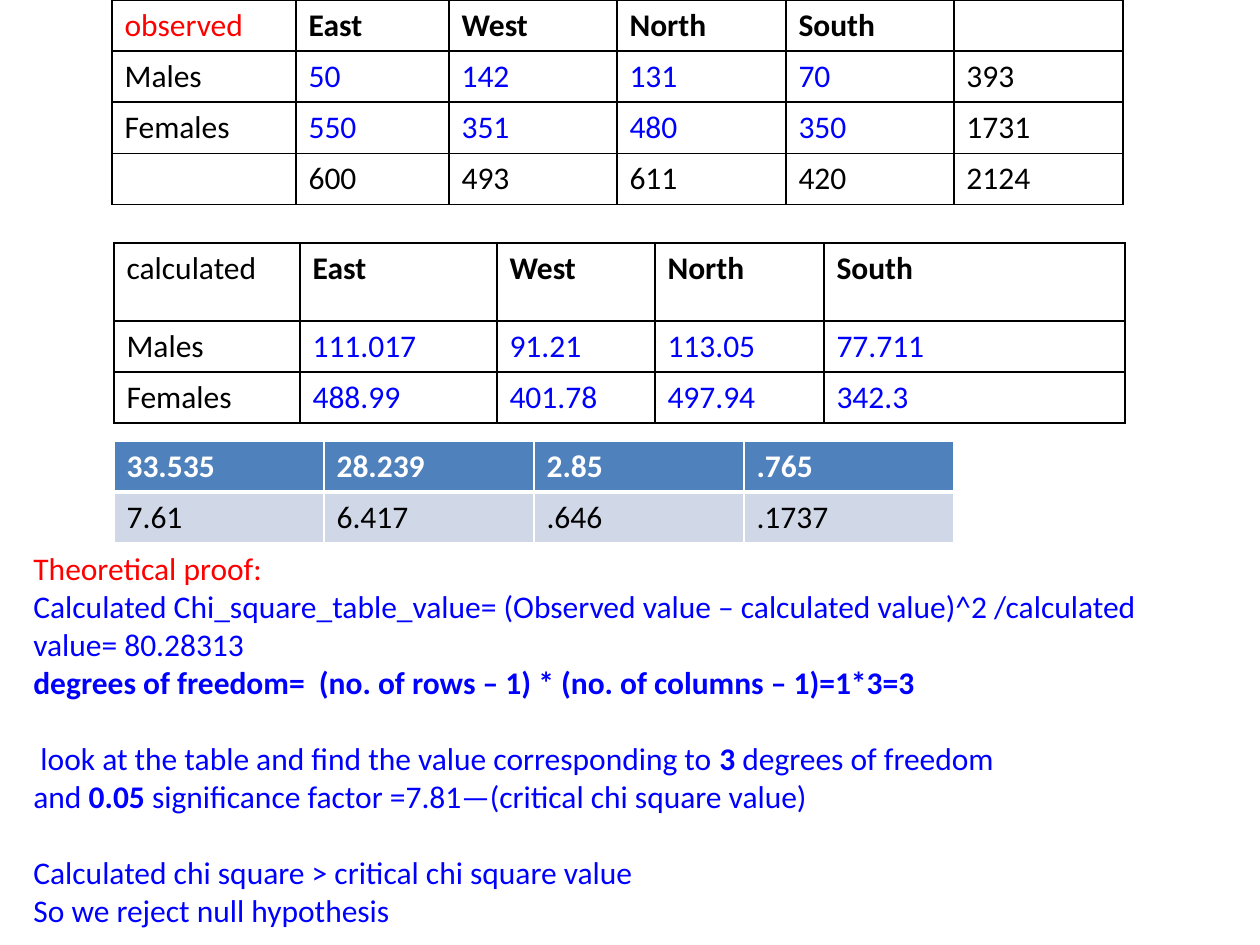
from dataclasses import dataclass

from lxml import etree
from pptx import Presentation
from pptx.dml.color import RGBColor
from pptx.enum.text import MSO_AUTO_SIZE
from pptx.oxml.ns import qn
from pptx.util import Pt

NO_AUTOFIT = MSO_AUTO_SIZE.NONE
PIXEL = 914400 // 126
BLANK_LAYOUT = 6


@dataclass(frozen=True)
class Theme:
    font: str = "Calibri"
    size: int = 18
    line_gap: int = 22
    black: str = "000000"
    white: str = "FFFFFF"
    red: str = "FF0000"
    blue: str = "0000FF"
    header_fill: str = "4F81BD"
    band_fill: str = "D0D8E8"


THEME = Theme()


def px(length):
    return length * PIXEL


def style_font(font, color, bold=False):
    font.name = THEME.font
    font.size = Pt(THEME.size)
    font.bold = bold
    font.color.rgb = RGBColor.from_string(color)


def set_borders(cell, color, bottom_width=1):
    """Draw the four cell edges; they must precede the fill in the XML."""
    properties = cell._tc.get_or_add_tcPr()
    widths = {"lnL": 1, "lnR": 1, "lnT": 1, "lnB": bottom_width}
    for position, (edge, width) in enumerate(widths.items()):
        line = etree.Element(qn(f"a:{edge}"), w=str(Pt(width)))
        fill = etree.SubElement(line, qn("a:solidFill"))
        etree.SubElement(fill, qn("a:srgbClr"), val=color)
        properties.insert(position, line)


def add_grid(page, left, top, columns, heights, rows, style_cell):
    """Place a table and let style_cell(cell, row, column) format each cell."""
    frame = page.shapes.add_table(len(rows), len(columns), px(left), px(top),
                                  px(sum(columns)), px(sum(heights)))
    table = frame.table
    for column, width in zip(table.columns, columns):
        column.width = px(width)
    for row, height in zip(table.rows, heights):
        row.height = px(height)
    for r, values in enumerate(rows):
        for c, value in enumerate(values):
            cell = table.cell(r, c)
            cell.text = value
            style_cell(cell, r, c)


def style_counts(cell, row, column):
    """Plain grid: bold region names, blue figures, black labels and totals."""
    is_figure = row in (1, 2) and 1 <= column <= 4
    color = THEME.blue if is_figure else THEME.black
    if cell.text == "observed":
        color = THEME.red
    style_font(cell.text_frame.paragraphs[0].font, color, row == 0 and column > 0)
    cell.fill.background()
    set_borders(cell, THEME.black)


def style_terms(cell, row, column):
    """Filled grid: white bold figures on blue above a pale band."""
    is_header = row == 0
    style_font(cell.text_frame.paragraphs[0].font,
               THEME.white if is_header else THEME.black, is_header)
    cell.fill.solid()
    cell.fill.fore_color.rgb = RGBColor.from_string(
        THEME.header_fill if is_header else THEME.band_fill)
    set_borders(cell, THEME.white, 3 if is_header else 1)


def add_proof(page, left, top, width, height, lines):
    """Each line is (colour, gap before in points, [(text, bold), ...])."""
    box = page.shapes.add_textbox(px(left), px(top), px(width), px(height))
    frame = box.text_frame
    frame.word_wrap = True
    frame.auto_size = NO_AUTOFIT
    for index, (color, gap, spans) in enumerate(lines):
        para = frame.add_paragraph() if index else frame.paragraphs[0]
        para.space_before = Pt(gap)
        style_font(para.font, color)
        for text, bold in spans:
            span = para.add_run()
            span.text = text
            style_font(span.font, color, bold)


REGIONS = ["East", "West", "North", "South"]
OBSERVED = [
    ["observed", *REGIONS, ""],
    ["Males", "50", "142", "131", "70", "393"],
    ["Females", "550", "351", "480", "350", "1731"],
    ["", "600", "493", "611", "420", "2124"],
]
CALCULATED = [
    ["calculated", *REGIONS],
    ["Males", "111.017", "91.21", "113.05", "77.711"],
    ["Females", "488.99", "401.78", "497.94", "342.3"],
]
TERMS = [
    ["33.535", "28.239", "2.85", ".765"],
    ["7.61", "6.417", ".646", ".1737"],
]
PROOF = [
    (THEME.red, 0, [("Theoretical proof:", False)]),
    (THEME.blue, 0, [("Calculated Chi_square_table_value= (Observed value – "
                      "calculated value)^2 /calculated value= 80.28313 ", False)]),
    (THEME.blue, 0, [("degrees of freedom= \u00a0(no. of rows – 1) * "
                      "(no. of columns – 1)=1*3=3", True)]),
    (THEME.blue, THEME.line_gap, [
        ("\u00a0look at the table and find the value corresponding to\u00a0", False),
        ("3\u00a0", True),
        ("degrees of freedom and\u00a0", False),
        ("0.05", True),
        ("\u00a0significance factor =7.81—(critical chi square value)", False)]),
    (THEME.blue, THEME.line_gap,
     [("Calculated chi square > critical chi square value", False)]),
    (THEME.blue, 0, [("So we reject null hypothesis", False)]),
]

deck = Presentation()
deck.slide_width, deck.slide_height = px(1260), px(945)
page = deck.slides.add_slide(deck.slide_layouts[BLANK_LAYOUT])

# Observed and calculated counts
add_grid(page, 112, 0, [184, 153, 168, 169, 168, 169], [51] * 4, OBSERVED, style_counts)
add_grid(page, 114, 243, [186, 197, 158, 169, 301], [78, 51, 51], CALCULATED, style_counts)

# Proof text
add_proof(page, 21, 543, 1169, 402, PROOF)

# Chi square terms
add_grid(page, 114, 441, [210] * 4, [51] * 2, TERMS, style_terms)

deck.save("out.pptx")
